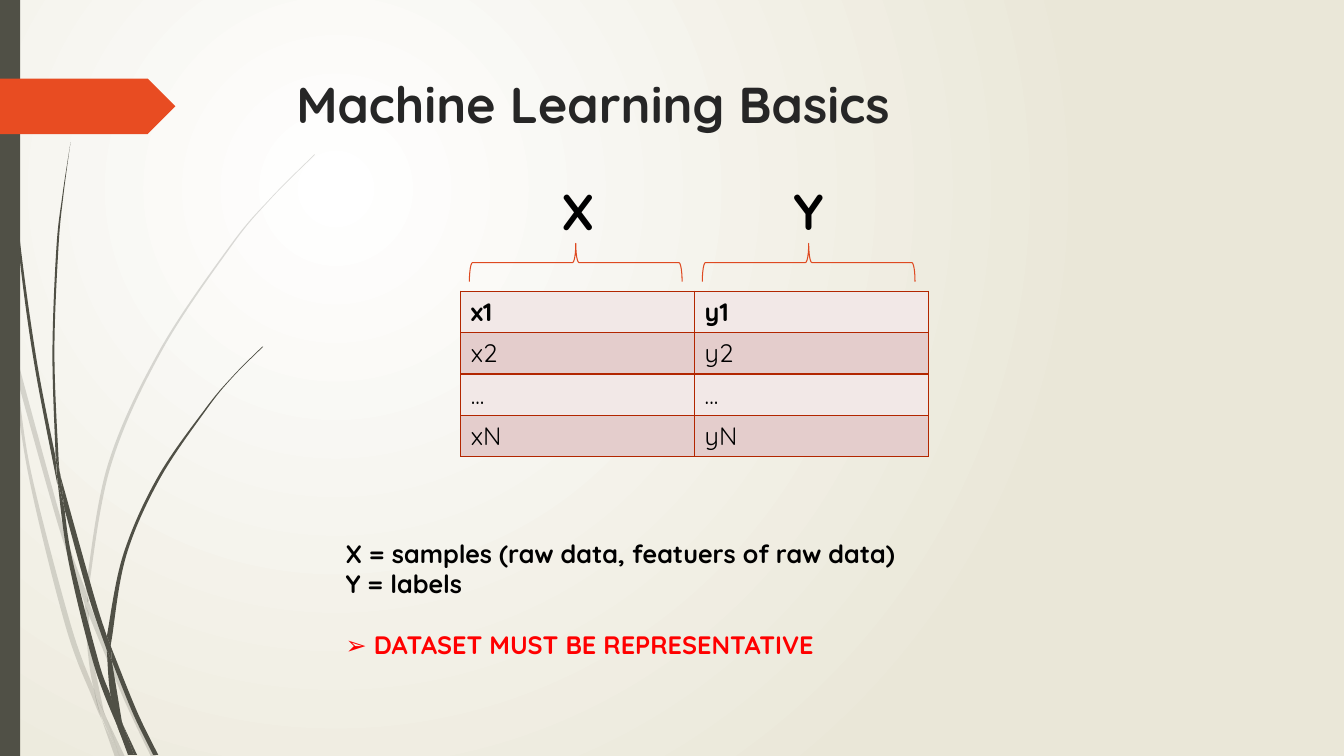
"""Build the Machine Learning Basics slide with its samples and labels table."""
import lxml.etree
import pptx
import pptx.dml.color
import pptx.enum.shapes
import pptx.oxml
import pptx.oxml.ns
import pptx.util

Inches = pptx.util.Inches
SHAPES = pptx.enum.shapes.MSO_SHAPE
qn = pptx.oxml.ns.qn


def color(hex_string):
    return pptx.dml.color.RGBColor.from_string(hex_string)


def write(frame, text, size=18, bold=True, colors=("000000",), wrap=True, gaps=()):
    frame.word_wrap = wrap
    for index, line in enumerate(text.split("\n")):
        paragraph = frame.paragraphs[0] if index == 0 else frame.add_paragraph()
        if index < len(gaps):
            paragraph.space_before = pptx.util.Pt(gaps[index])
        run = paragraph.add_run()
        run.text = line
        run.font.name = "Quicksand"
        run.font.size = pptx.util.Pt(size)
        run.font.bold = bold
        run.font.color.rgb = color(colors[min(index, len(colors) - 1)])


presentation = pptx.Presentation()
presentation.slide_width = Inches(13.33)
presentation.slide_height = Inches(7.5)
slide = presentation.slides.add_slide(presentation.slide_layouts[6])
shapes = slide.shapes

background = slide.background.fill
background.gradient()
for stop, stop_color in zip(background.gradient_stops, ("FFFFFF", "EAE7D8")):
    stop.color.rgb = color(stop_color)
gradient = slide.background._cSld.find(".//" + qn("a:gradFill"))
gradient.remove(gradient.find(qn("a:lin")))
radial = lxml.etree.SubElement(gradient, qn("a:path"), path="circle")
lxml.etree.SubElement(radial, qn("a:fillToRect"), l="50000", t="50000", r="100000", b="100000")

# Each blade of grass has two smooth edges, listed as one round trip in inches.
light_blades = [
    ([(0.11, 3.5), (0.09, 3.22), (0, 2.82)], [(0, 2.99), (0.1, 3.44)]),
    ([(0.84, 5.99), (0.58, 5.22), (0.17, 3.76)], [(0.14, 3.45), (0.62, 5.2), (0.85, 5.86)]),
    ([(0.88, 5.96), (0.92, 6.07), (1.27, 6.92), (1.55, 7.51)],
     [(1.5, 7.51), (1.23, 6.94), (0.88, 6.1)]),
    ([(1.05, 7.11), (1.24, 7.51)], [(1.19, 7.51)]),
    ([(0.11, 3.5), (0.17, 3.76), (0.31, 4.69), (0.7, 6.19), (0.93, 6.83)],
     [(1.01, 7.14), (0.92, 6.93), (0.65, 6.21), (0.28, 4.7), (0.11, 3.5)]),
    ([(0.84, 5.99), (0.87, 6.46), (0.93, 6.83), (1.05, 7.11)],
     [(1.03, 7.06), (0.91, 6.46), (0.88, 6.08)]),
    ([(3.12, 1.53), (2.68, 1.97), (2.28, 2.44), (1.58, 3.48), (1.07, 4.61), (0.85, 5.84)],
     [(0.88, 5.96), (0.88, 5.84), (1.1, 4.62), (1.6, 3.49), (2.29, 2.45), (2.68, 1.98),
      (3.12, 1.54)]),
    ([(1.01, 7.14), (1.14, 7.51)], [(1.19, 7.51)]),
    ([(0.85, 5.86), (0.84, 5.99)], [(0.88, 6.1), (0.88, 5.96)]),
    ([(0.93, 6.83), (0.99, 7.07), (1.19, 7.51)], [(1.19, 7.51), (1.05, 7.11), (0.96, 6.92)]),
]
dark_blades = [
    ([(0.03, 0), (0.04, 0.48), (0.07, 1.1), (0.17, 2.33), (0.33, 3.55), (0.57, 4.81)],
     [(0.55, 4.53), (0.36, 3.55), (0.19, 2.32), (0.08, 1.09), (0.05, 0.48), (0.04, 0)]),
    ([(0.6, 4.72), (0.93, 5.9), (1.06, 6.31)], [(1.06, 6.45), (0.88, 5.92), (0.64, 5.05)]),
    ([(1.1, 6.41), (1.13, 6.49), (1.36, 7.06), (1.57, 7.49)],
     [(1.52, 7.49), (1.32, 7.08), (1.11, 6.56)]),
    ([(0.57, 4.77), (0.68, 5.57), (0.93, 6.59), (1.17, 7.22)],
     [(1.16, 7.17), (1.1, 6.91), (0.98, 6.57), (0.72, 5.56), (0.64, 5.05)]),
    ([(0.7, 1.41), (0.62, 1.93), (0.56, 2.45), (0.52, 3.49), (0.55, 4.49)],
     [(0.6, 4.72), (0.58, 4.53), (0.54, 3.49), (0.58, 2.45), (0.63, 1.93), (0.7, 1.41)]),
    ([(1.22, 7.19), (1.36, 7.49)], [(1.33, 7.49)]),
    ([(0.55, 4.49), (0.57, 4.77)], [(0.64, 5.05), (0.6, 4.72)]),
    ([(2.6, 3.44), (2.31, 3.73), (2.04, 4.05), (1.56, 4.74), (1.22, 5.51), (1.06, 6.31)],
     [(1.1, 6.41), (1.11, 6.33), (1.25, 5.52), (1.58, 4.76), (2.05, 4.06), (2.31, 3.74),
      (2.61, 3.44)]),
    ([(1.17, 7.22), (1.27, 7.49)], [(1.31, 7.49)]),
    ([(1.06, 6.45), (1.1, 6.91), (1.22, 7.19)], [(1.21, 7.16), (1.11, 6.56)]),
    ([(1.06, 6.31), (1.06, 6.45)], [(1.11, 6.56), (1.1, 6.41)]),
    ([(1.1, 6.91), (1.17, 7.22), (1.3, 7.49)], [(1.33, 7.49), (1.22, 7.19), (1.16, 7.06)]),
]
UNITS = 1000
for blades, opacity in ((light_blades, 20), (dark_blades, 100)):
    for first_edge, second_edge in blades:
        outline = [(round(x * UNITS), round(y * UNITS)) for x, y in first_edge + second_edge]
        builder = shapes.build_freeform(*outline[0], scale=Inches(1) / UNITS)
        builder.add_line_segments(outline[1:])
        grass = builder.convert_to_shape()
        grass.shadow.inherit = False
        grass.line.fill.background()
        grass.fill.solid()
        grass.fill.fore_color.rgb = color("505046")
        if opacity < 100:
            fill_color = grass._element.spPr.find(qn("a:solidFill"))[0]
            lxml.etree.SubElement(fill_color, qn("a:alpha"), val=str(opacity * 1000))
        segments = list(grass._element.find(".//" + qn("a:path")))[:-1]
        nodes = [(int(segment[0].get("x")), int(segment[0].get("y"))) for segment in segments]
        split = len(first_edge)
        for start, stop in ((0, split), (split, len(nodes))):
            edge = nodes[start:stop]
            padded = [edge[0], *edge, edge[-1]]
            quads = zip(segments[start + 1:stop], padded, padded[1:], padded[2:], padded[3:])
            for segment, before, begin, end, after in quads:
                leaving = [b + (c - a) / 6 for a, b, c in zip(before, begin, end)]
                arriving = [c - (d - b) / 6 for b, c, d in zip(begin, end, after)]
                segment.tag = qn("a:cubicBezTo")
                for position, (x, y) in enumerate((leaving, arriving)):
                    handle = lxml.etree.Element(qn("a:pt"), x=str(round(x)), y=str(round(y)))
                    segment.insert(position, handle)

for kind, top, width, height, fill in (
    (SHAPES.RECTANGLE, 0, 0.2, 7.5, "505046"),
    (SHAPES.PENTAGON, 0.78, 1.74, 0.55, "E84C22"),
):
    shape = shapes.add_shape(kind, 0, Inches(top), Inches(width), Inches(height))
    shape.shadow.inherit = False
    shape.line.fill.background()
    shape.fill.solid()
    shape.fill.fore_color.rgb = color(fill)

title = shapes.add_textbox(Inches(2.84), Inches(0.68), Inches(9.75), Inches(1.4))
write(title.text_frame, "Machine Learning Basics", size=36, colors=("262626",))

rows = [("x1", "y1"), ("x2", "y2"), ("...", "..."), ("xN", "yN")]
table = shapes.add_table(4, 2, Inches(4.57), Inches(2.89), Inches(4.64), Inches(1.64)).table
for row_index, row in enumerate(rows):
    table.rows[row_index].height = Inches(0.41)
    for column_index, text in enumerate(row):
        cell = table.cell(row_index, column_index)
        write(cell.text_frame, text, bold=row_index == 0)
        cell.fill.solid()
        cell.fill.fore_color.rgb = color(("F2E8E7", "E4CDCC")[row_index % 2])
        properties = cell._tc.get_or_add_tcPr()
        for position, side in enumerate("LRTB"):
            border = lxml.etree.Element(qn("a:ln" + side), w="12700")
            border_fill = lxml.etree.SubElement(border, qn("a:solidFill"))
            lxml.etree.SubElement(border_fill, qn("a:srgbClr"), val="B22600")
            properties.insert(position, border)

for index, (letter, left, width) in enumerate((("X", 5.47, 0.48), ("Y", 7.77, 0.5))):
    brace = shapes.add_shape(SHAPES.LEFT_BRACE, Inches(5.52 + 2.31 * index), Inches(1.55),
                             Inches(0.38), Inches(2.11))
    brace.rotation = 90
    brace.shadow.inherit = False
    brace.fill.background()
    brace.line.color.rgb = color("DE4920")
    brace.line.width = pptx.util.Pt(0.75)
    label = shapes.add_textbox(Inches(left), Inches(1.74), Inches(width), Inches(0.71))
    write(label.text_frame, letter, size=36, wrap=False)

legend = shapes.add_textbox(Inches(3.33), Inches(5.29), Inches(6.27), Inches(1.31))
write(legend.text_frame,
      "X = samples (raw data, featuers of raw data)\nY = labels\n➢ DATASET MUST BE REPRESENTATIVE",
      colors=("000000", "000000", "FF0000"), gaps=(0, 0, 22))

presentation.save("out.pptx")
